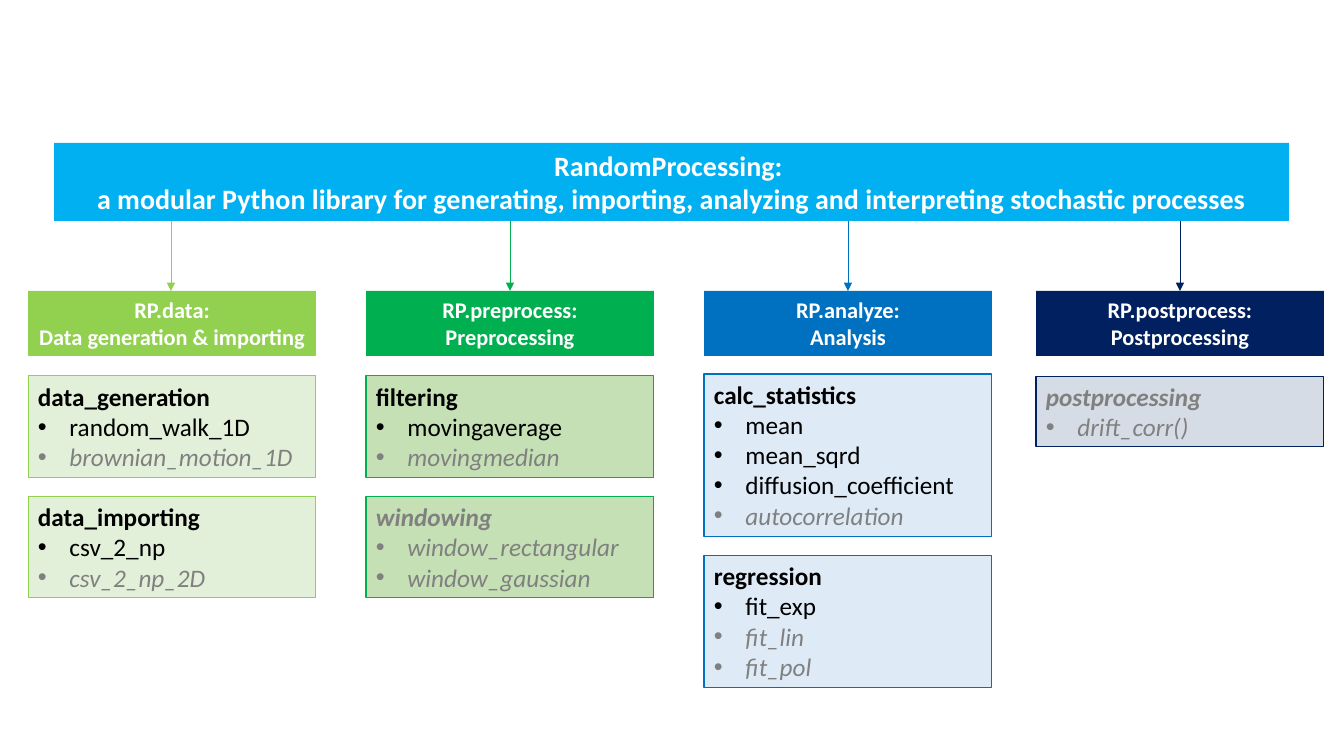
from pptx import Presentation
from pptx import util as u
from pptx.dml.color import RGBColor
from pptx.enum import shapes, text
from pptx.oxml.ns import qn
from lxml import etree

TITLE = [
    "RandomProcessing: ",
    "a modular Python library for generating, importing, analyzing and interpreting stochastic processes",
]
MODULES = [
    dict(head=["RP.data:", "Data generation & importing"], left=28, top=376,
         arrow=171, dark="92D050", pale="E2F0D9", groups=[
             (["data_generation", "random_walk_1D"], ["brownian_motion_1D"]),
             (["data_importing", "csv_2_np"], ["csv_2_np_2D"])]),
    dict(head=["RP.preprocess:", "Preprocessing"], left=366, top=376,
         arrow=510, dark="00B050", pale="C5E0B4", groups=[
             (["filtering", "movingaverage"], ["movingmedian"]),
             ([], ["windowing", "window_rectangular", "window_gaussian"])]),
    dict(head=["RP.analyze:", "Analysis"], left=704, top=374,
         arrow=848, dark="0070C0", pale="DEEBF7", groups=[
             (["calc_statistics", "mean", "mean_sqrd", "diffusion_coefficient"],
              ["autocorrelation"]),
             (["regression", "fit_exp"], ["fit_lin", "fit_pol"])]),
    dict(head=["RP.postprocess:", "Postprocessing"], left=1036, top=376,
         arrow=1180, dark="002060", pale="D6DCE5", groups=[
             ([], ["postprocessing", "drift_corr()"])]),
]
WIDTH, HEAD, HIGH = 288, 291, 65
BAR = (54, 143, 1235, 78)
GAP, PAD, ROW = 19, 10, 30.5


def px(n):
    return round(n * 914400 / 100.8)


def color(code):
    return RGBColor.from_string(code)


def paint(shape, fill, line=None):
    shape.fill.solid()
    shape.fill.fore_color.rgb = color(fill)
    if line:
        shape.line.color.rgb = color(line)
        shape.line.width = u.Pt(0.75)
    else:
        shape.line.fill.background()


def rect(box, fill, line=None):
    shape = slide.shapes.add_shape(shapes.MSO_SHAPE.RECTANGLE, *map(px, box))
    shape.shadow.inherit = False
    paint(shape, fill, line)
    return shape


def write(shape, rows, size, align):
    frame = shape.text_frame
    frame.word_wrap = True
    frame.auto_size = text.MSO_AUTO_SIZE.NONE
    frame.vertical_anchor = text.MSO_ANCHOR.TOP
    for i, (words, ink, bold, slant) in enumerate(rows):
        para = frame.paragraphs[0] if i == 0 else frame.add_paragraph()
        para.alignment = align
        run = para.add_run()
        run.text = words
        font = run.font
        font.name, font.size = "Calibri", u.Pt(size)
        font.bold, font.italic = bold, slant
        font.color.rgb = color(ink)
    return frame.paragraphs


def label(shape, lines, size):
    rows = [(line, "FFFFFF", True, False) for line in lines]
    write(shape, rows, size, text.PP_ALIGN.CENTER)


def bullet(para):
    props = para._p.get_or_add_pPr()
    props.set("marL", str(px(31.5)))
    props.set("indent", str(-px(31.5)))
    etree.SubElement(props, qn("a:buFont")).set("typeface", "Arial")
    etree.SubElement(props, qn("a:buChar")).set("char", "•")


def arrow(x, top, end, ink):
    line = slide.shapes.add_connector(
        shapes.MSO_CONNECTOR.STRAIGHT, px(x), px(top), px(x), px(end))
    line.line.color.rgb = color(ink)
    line.line.width = u.Pt(0.5)
    tip = etree.SubElement(line.line._get_or_add_ln(), qn("a:tailEnd"))
    tip.set("type", "triangle")
    etree.SubElement(line._element.spPr, qn("a:effectLst"))


def group(box, live, muted, fill, line):
    shape = rect(box, fill, line)
    items = [(name, "000000", False) for name in live]
    items += [(name, "808080", True) for name in muted]
    rows = [(name, ink, i == 0, slant)
            for i, (name, ink, slant) in enumerate(items)]
    paras = write(shape, rows, 18, text.PP_ALIGN.LEFT)
    for para in paras[1:]:
        bullet(para)


deck = Presentation()
deck.slide_width, deck.slide_height = px(1344), px(756)
slide = deck.slides.add_slide(deck.slide_layouts[5])

title = slide.shapes.title
title.left, title.top, title.width, title.height = map(px, BAR)
paint(title, "00B0F0")
label(title, TITLE, 20)

for mod in MODULES:
    left, dark = mod["left"], mod["dark"]
    label(rect((left, HEAD, WIDTH, HIGH), dark), mod["head"], 16)
    arrow(mod["arrow"], BAR[1] + BAR[3], HEAD, dark)
    top = mod["top"]
    for live, muted in mod["groups"]:
        high = PAD + ROW * len(live + muted)
        group((left, top, WIDTH, high), live, muted, mod["pale"], dark)
        top += high + GAP

deck.save("out.pptx")
